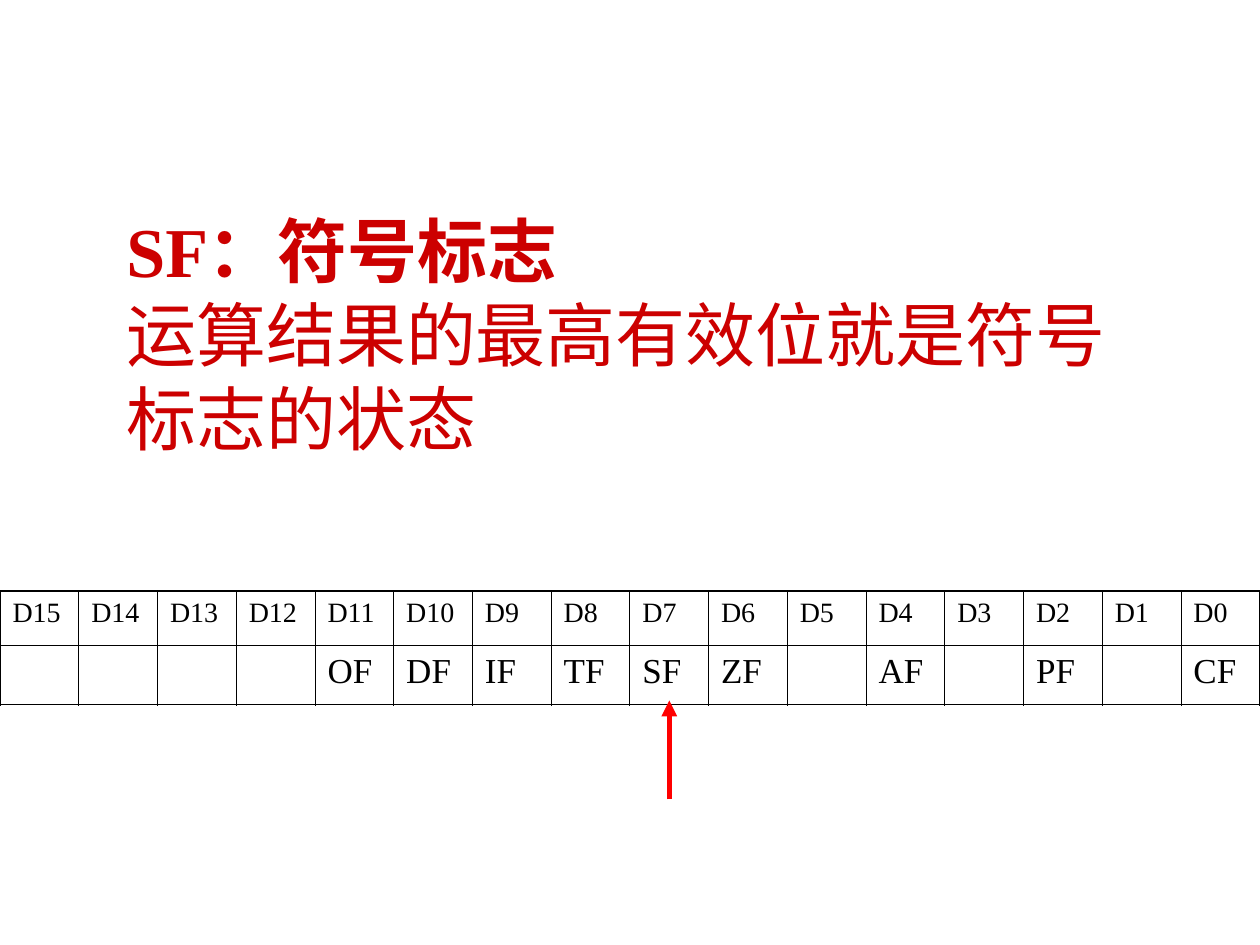
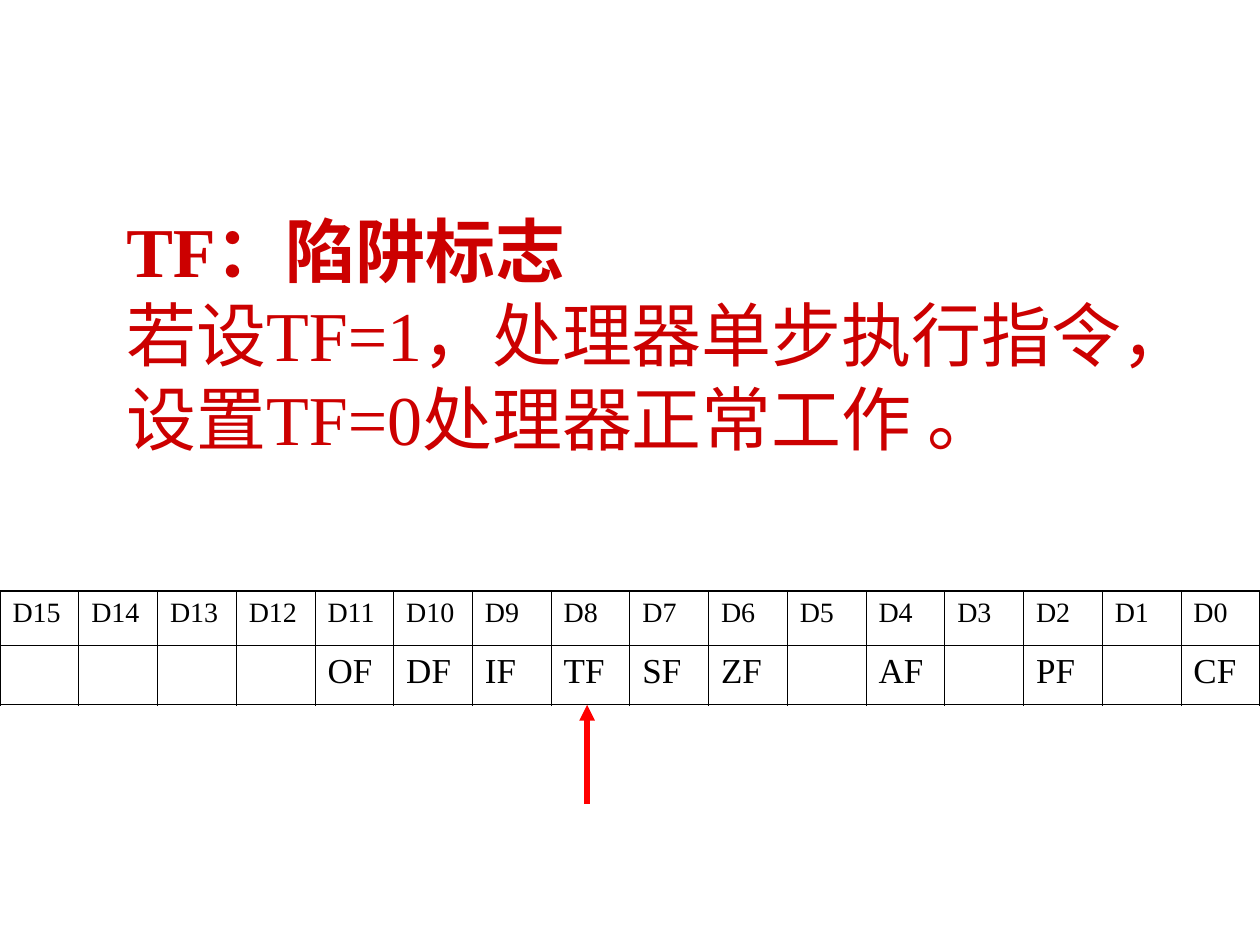
from lxml import etree
from pptx import Presentation
from pptx.dml.color import RGBColor
from pptx.enum.shapes import MSO_CONNECTOR
from pptx.enum.text import MSO_ANCHOR, MSO_AUTO_SIZE, PP_ALIGN
from pptx.oxml.ns import qn
from pptx.util import Pt

STRAIGHT = MSO_CONNECTOR.STRAIGHT
MIDDLE = MSO_ANCHOR.MIDDLE
NO_AUTOFIT = MSO_AUTO_SIZE.NONE
LEFT = PP_ALIGN.LEFT

TITLE_RED = RGBColor(0xCC, 0x00, 0x00)
ARROW_RED = RGBColor(0xFF, 0x00, 0x00)
BLACK = RGBColor(0x00, 0x00, 0x00)
WHITE = RGBColor(0xFF, 0xFF, 0xFF)

FONT = "Times New Roman"
TITLE_ONLY = 5
SLIDE_WIDTH, SLIDE_HEIGHT = 720, 540
TABLE_TOP = 337.7
ROW_HEIGHTS = (31.3, 33.7)
ROW_SIZES = (16, 20)
INNER_LINE, OUTER_LINE = 0.45, 1.08

BITS = [f"D{number}" for number in range(15, -1, -1)]
FLAGS = {"D11": "OF", "D10": "DF", "D9": "IF", "D8": "TF", "D7": "SF",
         "D6": "ZF", "D4": "AF", "D2": "PF", "D0": "CF"}
REGISTER = [BITS, [FLAGS.get(bit, "") for bit in BITS]]

# heading, explanation, arrow x, arrow tip y
SLIDES = [
    ("SF：符号标志", "运算结果的最高有效位就是符号标志的状态", 382.5, 400.3),
    ("TF：陷阱标志", "若设TF=1，处理器单步执行指令，设置TF=0处理器正常工作 。",
     335.5, 402.8),
]
ARROW_LENGTH = 56.5


def add_span(para, text, size, color=BLACK, bold=False):
    span = para.add_run()
    span.text = text
    span.font.name = FONT
    span.font.size = Pt(size)
    span.font.bold = bold
    span.font.color.rgb = color


def set_border(cell, side, width):
    """Draw one black cell edge; side is L, R, T or B."""
    properties = cell._tc.get_or_add_tcPr()
    edge = etree.SubElement(properties, qn(f"a:ln{side}"), w=str(Pt(width)))
    fill = etree.SubElement(edge, qn("a:solidFill"))
    etree.SubElement(fill, qn("a:srgbClr"), val=str(BLACK))


class FlagDeck:
    def __init__(self):
        self.deck = Presentation()
        self.deck.slide_width = Pt(SLIDE_WIDTH)
        self.deck.slide_height = Pt(SLIDE_HEIGHT)
        self.page = None

    def add_page(self):
        self.page = self.deck.slides.add_slide(self.deck.slide_layouts[TITLE_ONLY])

    def add_title(self, heading, explanation):
        box = self.page.shapes.title
        box.left, box.top, box.width, box.height = Pt(65), Pt(145.5), Pt(612), Pt(90)
        frame = box.text_frame
        frame.word_wrap = True
        frame.auto_size = NO_AUTOFIT
        frame.vertical_anchor = MIDDLE
        para = frame.paragraphs[0]
        para.alignment = LEFT
        add_span(para, heading, 40, color=TITLE_RED, bold=True)
        para.add_line_break()
        add_span(para, explanation, 40, color=TITLE_RED)

    def add_register(self):
        """Add the table of register bits and the flags they hold."""
        last_row, last_column = len(REGISTER) - 1, len(BITS) - 1
        table = self.page.shapes.add_table(
            len(REGISTER), len(BITS), 0, Pt(TABLE_TOP),
            Pt(SLIDE_WIDTH), Pt(sum(ROW_HEIGHTS))).table
        for row, texts in enumerate(REGISTER):
            table.rows[row].height = Pt(ROW_HEIGHTS[row])
            for column, text in enumerate(texts):
                cell = table.cell(row, column)
                outer = {"L": column == 0, "R": column == last_column,
                         "T": row == 0, "B": row == last_row}
                for side, is_outer in outer.items():
                    set_border(cell, side, OUTER_LINE if is_outer else INNER_LINE)
                cell.fill.solid()
                cell.fill.fore_color.rgb = WHITE
                if text:
                    add_span(cell.text_frame.paragraphs[0], text, ROW_SIZES[row])

    def add_arrow(self, x, tip):
        """Add an arrow that points up at a flag."""
        arrow = self.page.shapes.add_connector(
            STRAIGHT, Pt(x), Pt(tip + ARROW_LENGTH), Pt(x), Pt(tip))
        arrow.line.color.rgb = ARROW_RED
        arrow.line.width = Pt(3)
        etree.SubElement(arrow.line._get_or_add_ln(), qn("a:tailEnd"), type="triangle")
        etree.SubElement(arrow._element.spPr, qn("a:effectLst"))


def main():
    flags = FlagDeck()
    for heading, explanation, arrow_x, arrow_tip in SLIDES:
        flags.add_page()
        flags.add_title(heading, explanation)
        flags.add_register()
        flags.add_arrow(arrow_x, arrow_tip)
    flags.deck.save("out.pptx")


if __name__ == "__main__":
    main()
